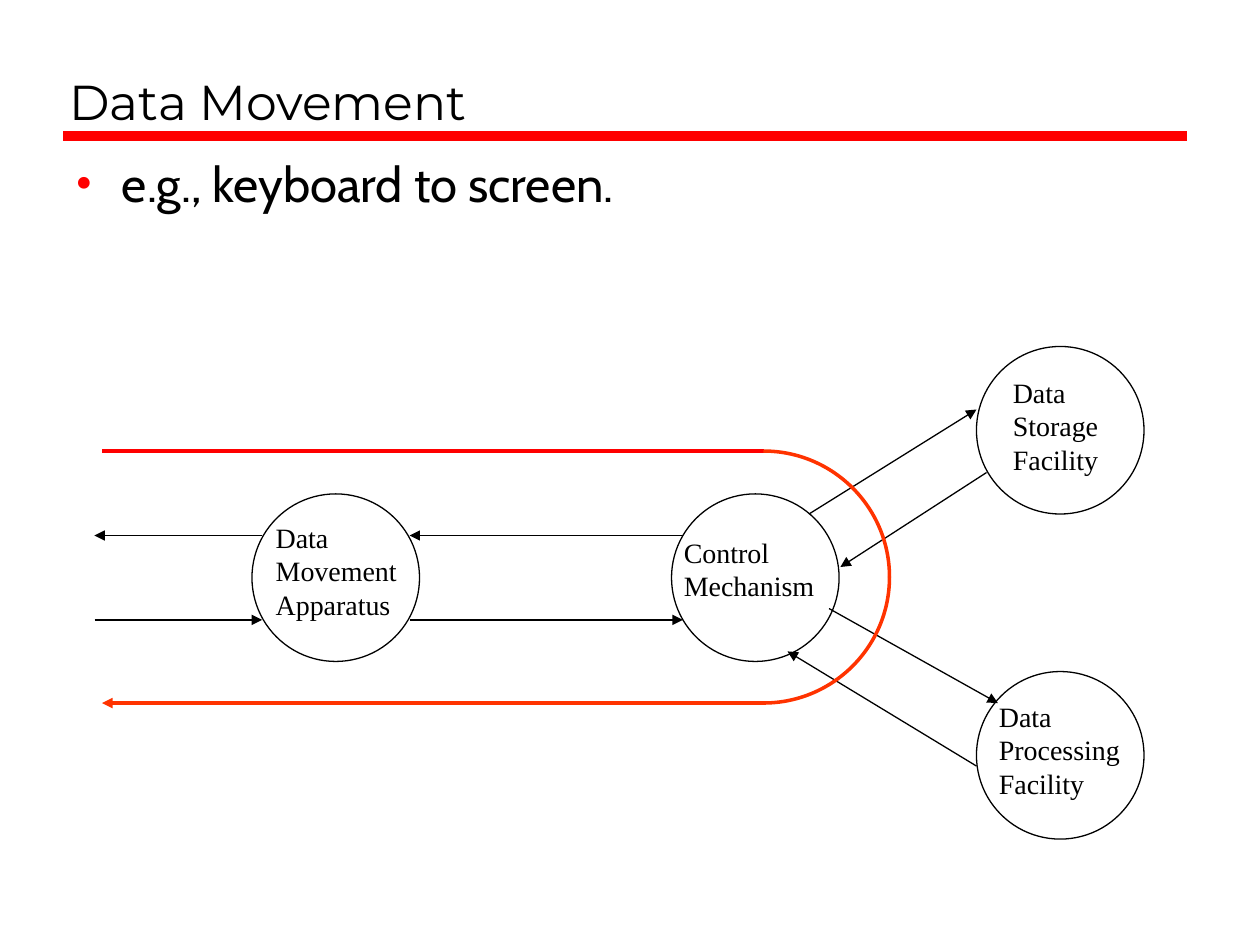
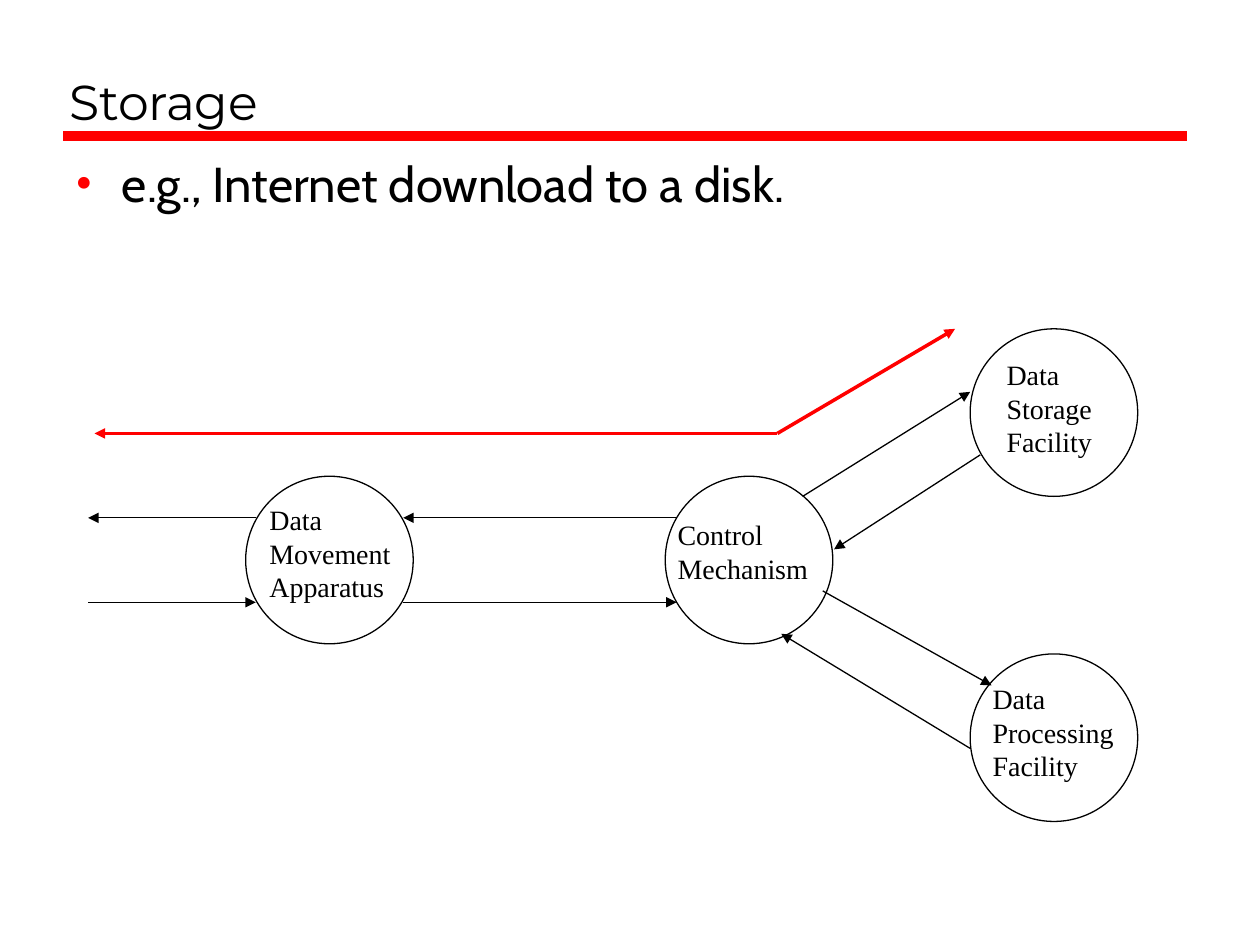
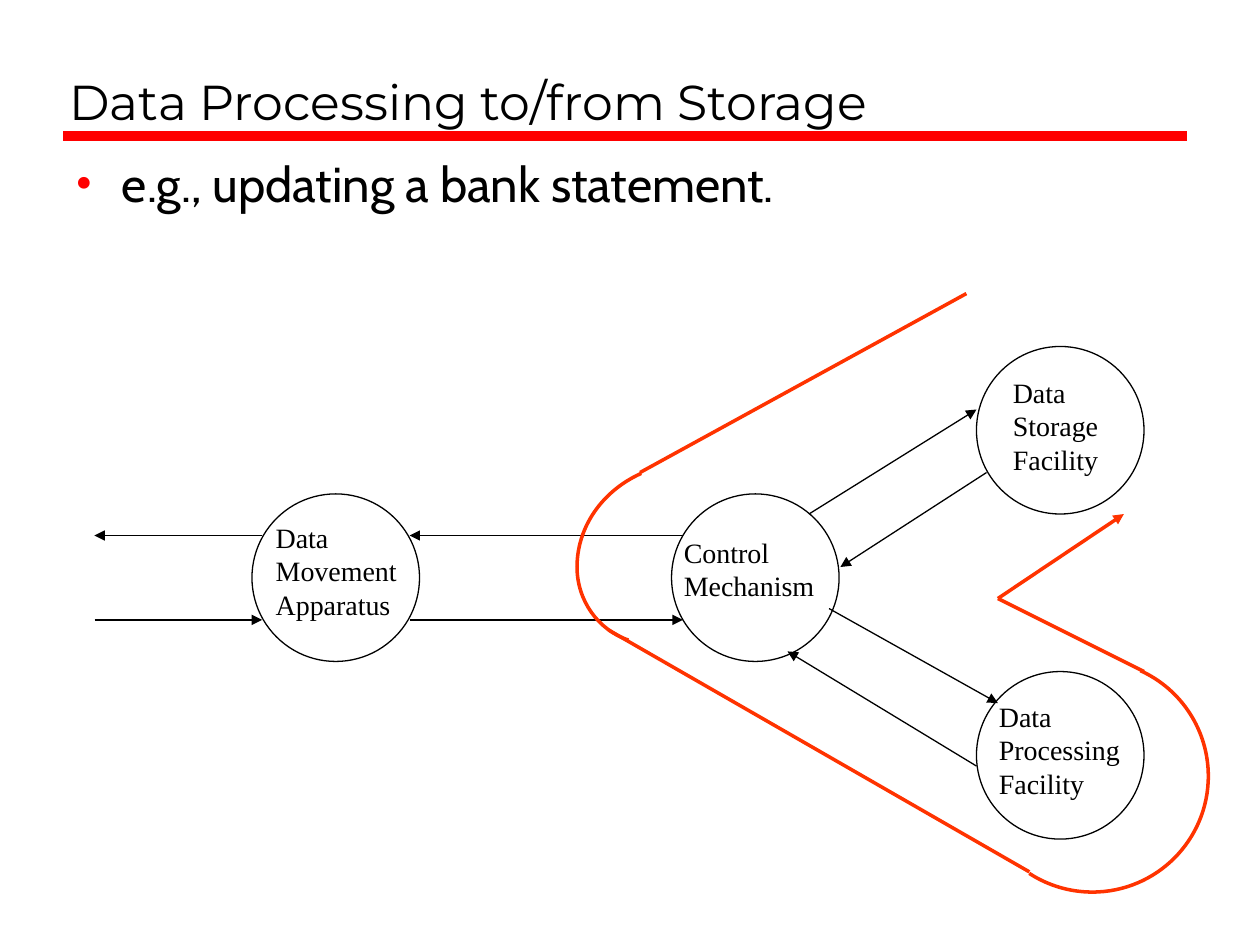
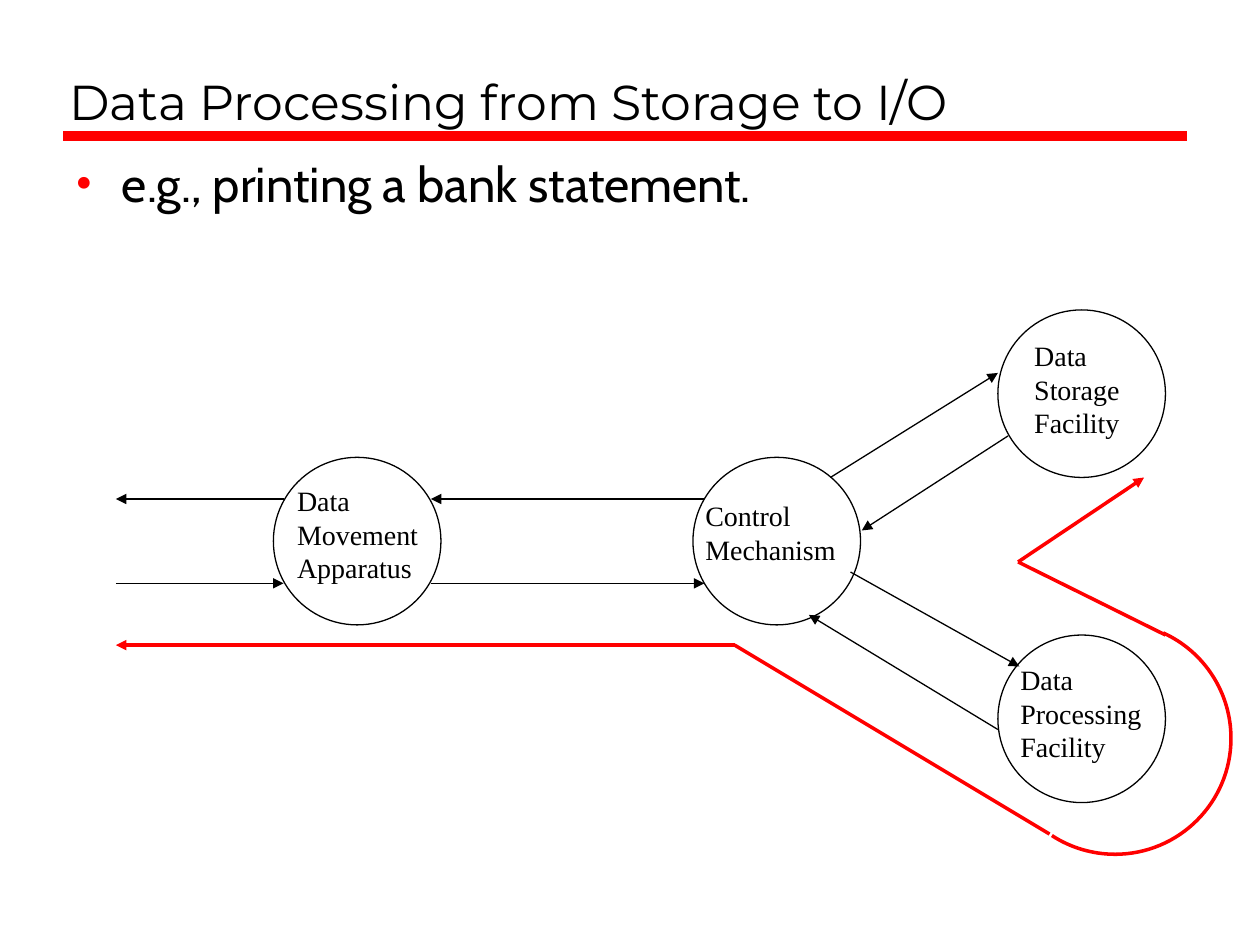
"""Builds four slides on the data operations of a computer."""
from dataclasses import dataclass
from math import cos, radians, sin, tan
from typing import NamedTuple

from lxml.etree import SubElement
from pptx import Presentation
from pptx.dml.color import RGBColor
from pptx.enum.shapes import MSO_CONNECTOR as Connector, MSO_SHAPE as Preset
from pptx.enum.text import MSO_ANCHOR as Anchor, MSO_AUTO_SIZE as AutoSize
from pptx.oxml.ns import qn
from pptx.util import Inches, Pt

BLACK, RED, ORANGE = "000000", "FF0000", "FF3300"
TITLE_FONT, BODY_FONT, LABEL_FONT = "Montserrat", "Cabin", "Times New Roman"
THIN, FLOW, BAND = 0.75, 2, 6
DIAMETER = 1.33
BULLET_INDENT = 0.37


class Point(NamedTuple):
    x: float
    y: float

    def moved(self, by: "Point") -> "Point":
        return Point(self.x + by.x, self.y + by.y)


class Box(NamedTuple):
    left: float
    top: float
    width: float
    height: float


@dataclass(frozen=True)
class Unit:
    words: str
    corner: Point
    label: Box
    wrap: bool = False


@dataclass(frozen=True)
class Line:
    start: Point
    end: Point
    arrow: bool = True
    color: str = BLACK
    weight: float = THIN


@dataclass(frozen=True)
class Arc:
    center: Point
    radius_x: float
    radius_y: float
    angles: tuple[float, ...]
    color: str

    def at(self, angle: float, pull: float = 0) -> tuple[int, int]:
        x = cos(angle) - pull * sin(angle)
        y = sin(angle) + pull * cos(angle)
        return (Inches(self.center.x + self.radius_x * x),
                Inches(self.center.y + self.radius_y * y))


@dataclass(frozen=True)
class Operation:
    title: str
    example: str
    offset: Point
    route: tuple[Line, ...]
    bends: tuple[Arc, ...] = ()
    grouped: bool = True


def rgb(code: str) -> RGBColor:
    return RGBColor.from_string(code)


def add_text(shapes, words: str, box: Box, *, font: str, size: float, color: str = BLACK,
             anchor=Anchor.TOP, wrap: bool = True, grow: bool = False, bullet: str = ""):
    frame = shapes.add_textbox(*map(Inches, box)).text_frame
    frame.word_wrap = wrap
    frame.auto_size = AutoSize.SHAPE_TO_FIT_TEXT if grow else AutoSize.NONE
    frame.vertical_anchor = anchor
    frame.text = words
    for paragraph in frame.paragraphs:
        for run in paragraph.runs:
            run.font.name, run.font.size = font, Pt(size)
            run.font.color.rgb = rgb(color)
        if bullet:
            add_bullet(paragraph, bullet, size)


def add_bullet(paragraph, color: str, size: float):
    paragraph.space_before = Pt(size * 0.2)
    properties = paragraph._p.get_or_add_pPr()
    properties.set("marL", str(Inches(BULLET_INDENT)))
    properties.set("indent", str(-Inches(BULLET_INDENT)))
    SubElement(SubElement(properties, qn("a:buClr")), qn("a:srgbClr")).set("val", color)
    SubElement(properties, qn("a:buFont")).set("typeface", LABEL_FONT)
    SubElement(properties, qn("a:buChar")).set("char", "•")


def add_line(shapes, line: Line, offset: Point = Point(0, 0)):
    ends = (*line.start.moved(offset), *line.end.moved(offset))
    connector = shapes.add_connector(Connector.STRAIGHT, *map(Inches, ends))
    connector.line.color.rgb = rgb(line.color)
    connector.line.width = Pt(line.weight)
    properties = connector._element.spPr
    if line.arrow:
        SubElement(properties.find(qn("a:ln")), qn("a:tailEnd")).set("type", "triangle")
    SubElement(properties, qn("a:effectLst"))


def outline(shape, color: str, weight: float):
    shape.fill.background()
    shape.line.color.rgb = rgb(color)
    shape.line.width = Pt(weight)
    shape.shadow.inherit = False


def add_arc(shapes, arc: Arc):
    angles = [radians(angle) for angle in arc.angles]
    points = []
    for first, last in zip(angles, angles[1:]):
        pull = 4 / 3 * tan((last - first) / 4)
        points += [arc.at(first, pull), arc.at(last, -pull), arc.at(last)]
    builder = shapes.build_freeform(*arc.at(angles[0]))
    builder.add_line_segments(points, close=False)
    bend = builder.convert_to_shape()
    curve_segments(bend)
    outline(bend, arc.color, FLOW)


def curve_segments(bend):
    track = next(bend._element.iter(qn("a:path")))
    steps = track.findall(qn("a:lnTo"))
    for i in range(0, len(steps), 3):
        curve = SubElement(track, qn("a:cubicBezTo"))
        for step in steps[i:i + 3]:
            curve.append(step[0])
            track.remove(step)


UNITS = (
    Unit("Data\nMovement\nApparatus", Point(2, 3.92), Box(2.09, 4.08, 1.24, 0.9), wrap=True),
    Unit("Control\nMechanism", Point(5.33, 3.92), Box(5.33, 4.2, 1.34, 0.64)),
    Unit("Data\nStorage\nFacility", Point(7.75, 2.75), Box(7.94, 2.93, 0.98, 0.9)),
    Unit("Data\nProcessing\nFacility", Point(7.75, 5.33), Box(7.83, 5.5, 1.3, 0.9)),
)

LINKS = (
    Line(Point(2.08, 4.25), Point(0.75, 4.25)),
    Line(Point(0.75, 4.92), Point(2.08, 4.92)),
    Line(Point(3.25, 4.92), Point(5.42, 4.92)),
    Line(Point(5.42, 4.25), Point(3.25, 4.25)),
    Line(Point(6.42, 4.08), Point(7.75, 3.25)),
    Line(Point(7.83, 3.75), Point(6.67, 4.5)),
    Line(Point(6.58, 4.83), Point(7.92, 5.58)),
    Line(Point(7.75, 6.08), Point(6.25, 5.17)),
)


def add_circle(shapes, unit: Unit, offset: Point):
    circle = shapes.add_shape(Preset.OVAL, *map(Inches, unit.corner.moved(offset)),
                              Inches(DIAMETER), Inches(DIAMETER))
    outline(circle, BLACK, THIN)


def add_computer(shapes, offset: Point):
    movement, *others = UNITS
    add_circle(shapes, movement, offset)
    for link in LINKS:
        add_line(shapes, link, offset)
    for unit in UNITS:
        corner = Point(unit.label.left, unit.label.top).moved(offset)
        box = Box(*corner, unit.label.width, unit.label.height)
        add_text(shapes, unit.words, box, font=LABEL_FONT, size=16, wrap=unit.wrap, grow=True)
    for unit in others:
        add_circle(shapes, unit, offset)


def flow(x1: float, y1: float, x2: float, y2: float, color: str, arrow: bool = False) -> Line:
    return Line(Point(x1, y1), Point(x2, y2), arrow, color, FLOW)


def processing_bend(x: float, y: float, color: str) -> Arc:
    return Arc(Point(x, y), 0.92, 0.92, (123, 90, 0, -65.5), color)


OPERATIONS = (
    Operation(
        "Data Movement", "e.g., keyboard to screen.", Point(0, 0),
        (flow(0.81, 3.58, 6.06, 3.58, RED),
         flow(6.06, 5.58, 0.81, 5.58, ORANGE, arrow=True)),
        (Arc(Point(6.06, 4.58), 1, 1, (90, 0), ORANGE),
         Arc(Point(6.06, 4.58), 1, 1, (-90, 0), ORANGE))),
    Operation(
        "Storage", "e.g., Internet download to a disk.", Point(-0.05, -0.14),
        (flow(6.17, 3.44, 0.75, 3.44, RED, arrow=True),
         flow(6.17, 3.44, 7.58, 2.61, RED, arrow=True)),
        grouped=False),
    Operation(
        "Data Processing to/from Storage", "e.g., updating a bank statement.", Point(0, 0),
        (flow(7.67, 2.33, 5.08, 3.75, ORANGE),
         flow(4.83, 5, 8.17, 6.92, ORANGE),
         flow(7.92, 4.75, 9.08, 5.33, ORANGE),
         flow(7.92, 4.75, 8.92, 4.08, ORANGE, arrow=True)),
        (Arc(Point(5.5, 4.5), 0.92, 0.83, (243.5, 180), ORANGE),
         processing_bend(8.67, 6.16, ORANGE),
         Arc(Point(5.17, 4.5), 0.59, 0.61, (108, 180), ORANGE))),
    Operation(
        "Data Processing from Storage to I/O", "e.g., printing a bank statement.",
        Point(0.17, -0.29),
        (flow(5.83, 5.12, 8.33, 6.62, RED),
         flow(8.08, 4.46, 9.25, 5.04, RED),
         flow(8.08, 4.46, 9.08, 3.79, RED, arrow=True),
         flow(5.83, 5.12, 0.92, 5.12, RED, arrow=True)),
        (processing_bend(8.85, 5.86, RED),)),
)


def add_operation(deck, operation: Operation):
    shapes = deck.slides.add_slide(deck.slide_layouts[6]).shapes
    add_line(shapes, Line(Point(0.5, 1.08), Point(9.42, 1.08), False, RED, BAND))
    add_text(shapes, operation.title, Box(0.45, 0.16, 8.97, 0.92),
             font=TITLE_FONT, size=28, anchor=Anchor.BOTTOM)
    add_text(shapes, operation.example, Box(0.5, 1.17, 8.94, 6.17),
             font=BODY_FONT, size=28, bullet=RED)
    add_computer(shapes.add_group_shape().shapes if operation.grouped else shapes,
                 operation.offset)
    for line in operation.route:
        add_line(shapes, line)
    for bend in operation.bends:
        add_arc(shapes, bend)


def main():
    deck = Presentation()
    deck.slide_width, deck.slide_height = Inches(10), Inches(7.5)
    for operation in OPERATIONS:
        add_operation(deck, operation)
    deck.save("out.pptx")


main()
